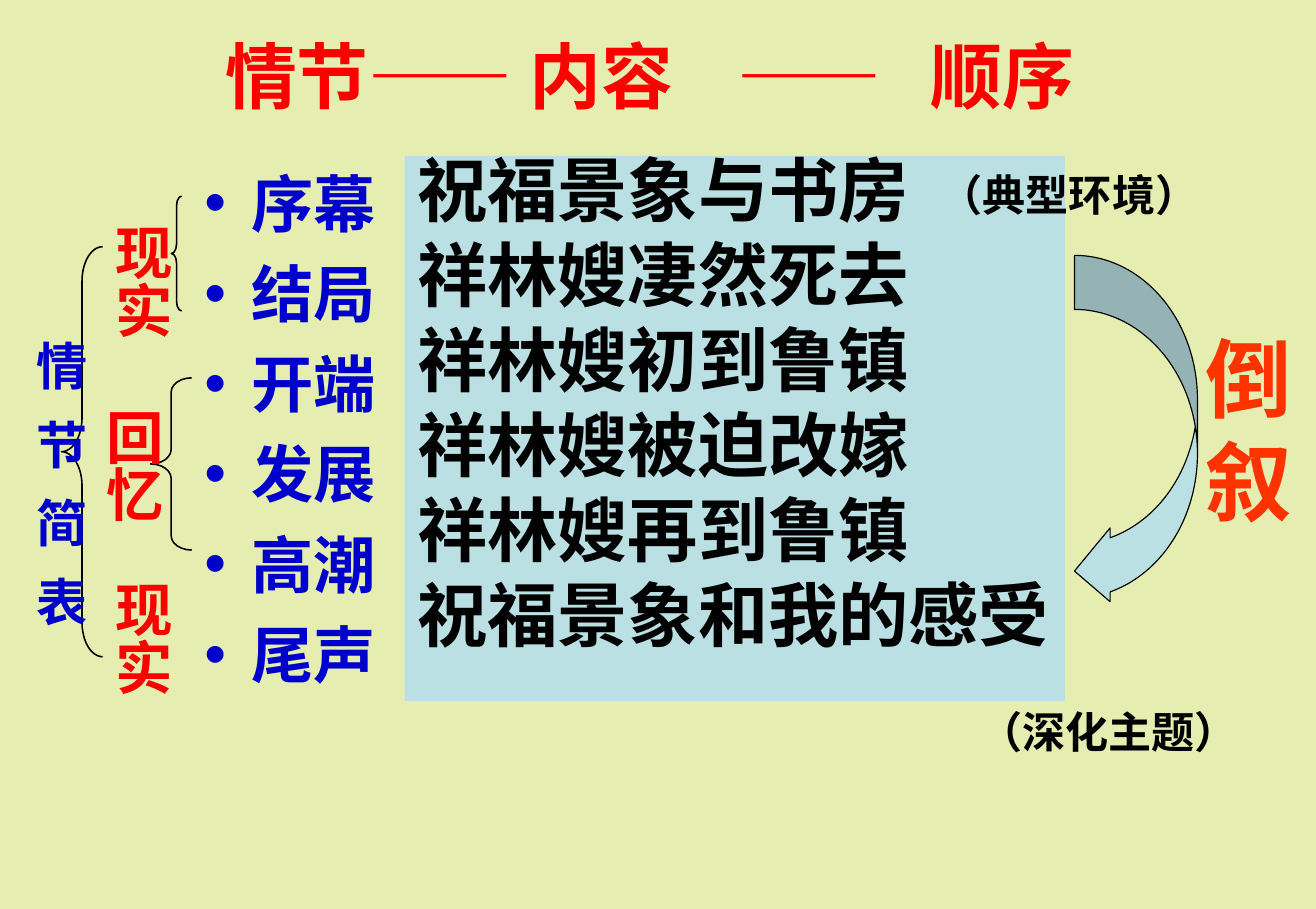
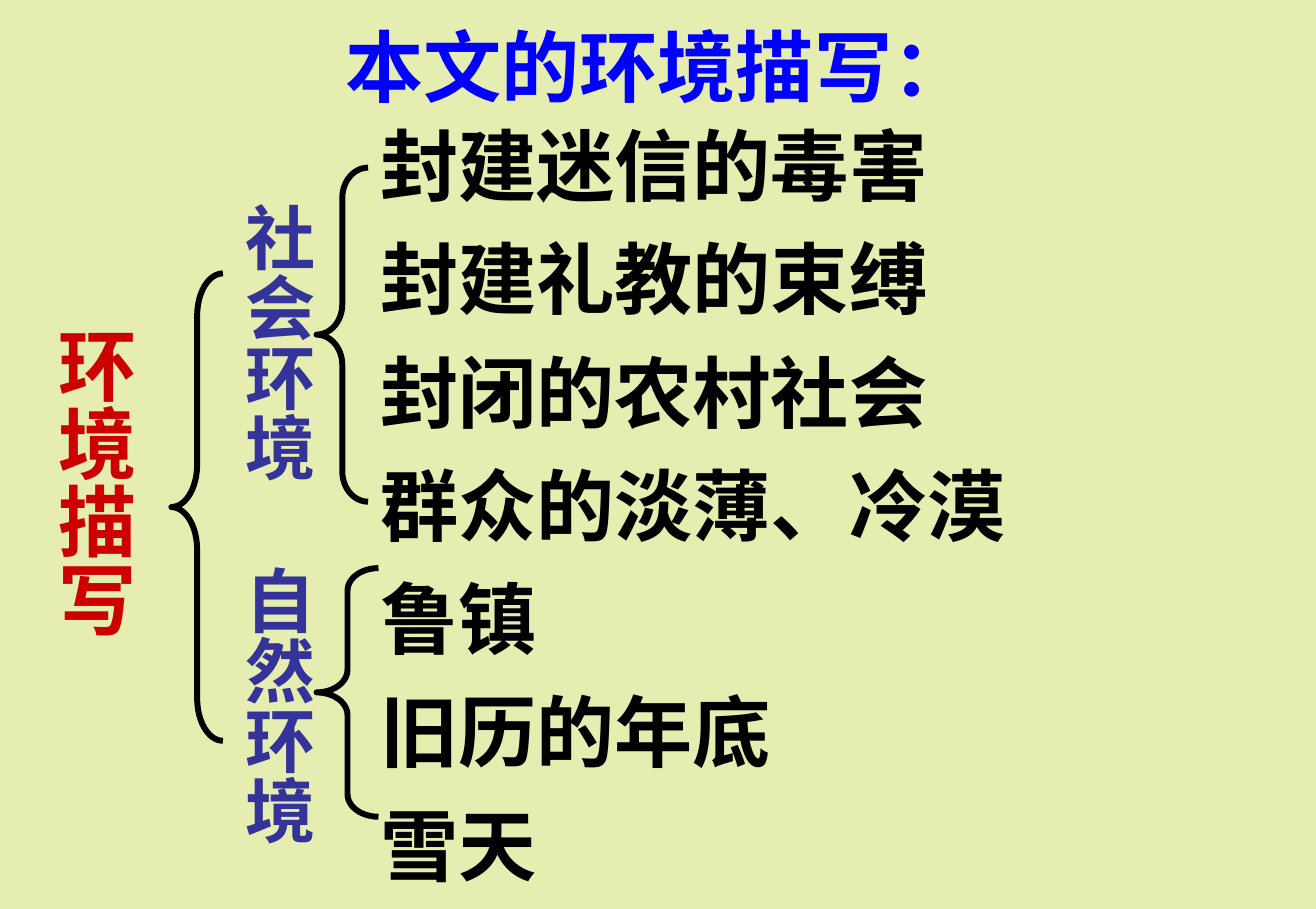
from lxml.etree import SubElement
from pptx import Presentation
from pptx.dml.color import RGBColor
from pptx.enum.shapes import MSO_SHAPE as Form
from pptx.enum.text import MSO_ANCHOR as Anchor, PP_ALIGN as Align
from pptx.oxml.ns import qn
from pptx.util import Cm, Pt

BACK = RGBColor(0xE5, 0xEE, 0xB0)
PALE = RGBColor(0xBB, 0xE0, 0xE3)
BLACK = RGBColor(0, 0, 0)
NAVY = RGBColor(0, 0, 0xCC)
BLUE = RGBColor(0, 0, 0xFF)
INDIGO = RGBColor(0x33, 0x33, 0x99)
RED = RGBColor(0xFF, 0, 0)
DARK = RGBColor(0xCC, 0, 0)
ORANGE = RGBColor(0xFF, 0x33, 0)
LATIN = "Arial"
HAN = "Noto Sans CJK SC"
ROMAN = "Times New Roman"


def add_run(para, text, size, color, face=LATIN, track=0):
    """Add one bold run, with optional tracking in points."""
    run = para.add_run()
    run.text = text
    font = run.font
    font.size, font.bold, font.name = Pt(size), True, face
    font.color.rgb = color
    props = run._r.get_or_add_rPr()
    SubElement(props, qn("a:ea"), typeface=HAN)
    if track:
        props.set("spc", str(round(track * 100)))


def set_tabs(para, stops):
    """Set left tab stops given in centimetres."""
    tabs = SubElement(para._p.get_or_add_pPr(), qn("a:tabLst"))
    for stop in stops:
        SubElement(tabs, qn("a:tab"), pos=str(Cm(stop)), algn="l")


def set_bullet(para, indent):
    """Give a paragraph a round bullet and a hanging indent."""
    props = para._p.get_or_add_pPr()
    props.set("marL", str(Cm(indent)))
    props.set("indent", str(-Cm(indent)))
    SubElement(props, qn("a:buFont"), typeface=LATIN)
    SubElement(props, qn("a:buChar"), char="•")


def set_frame(shape, side=0.28, top=0.15):
    """Set wrapping, anchor and insets of a text frame."""
    frame = shape.text_frame
    frame.word_wrap = True
    frame.vertical_anchor = Anchor.TOP
    frame.margin_left = frame.margin_right = Cm(side)
    frame.margin_top = frame.margin_bottom = Cm(top)
    return frame


def add_box(slide, at):
    """Add an empty text box and return its frame."""
    return set_frame(slide.shapes.add_textbox(*map(Cm, at)))


def add_line(slide, at, text, size, color, face=LATIN, align=Align.LEFT):
    """Add a text box with one paragraph."""
    para = add_box(slide, at).paragraphs[0]
    para.alignment = align
    add_run(para, text, size, color, face)
    return para


def add_list(frame, items, size, color, gap, face=LATIN, lead=None, bullet=0):
    """Fill a frame with one paragraph for each item."""
    for num, item in enumerate(items):
        para = frame.add_paragraph() if num else frame.paragraphs[0]
        para.alignment = Align.LEFT
        if lead:
            para.line_spacing = lead
        if num:
            para.space_before = Pt(gap)
        if bullet:
            set_bullet(para, bullet)
        add_run(para, item, size, color, face)


def add_label(slide, at, text, size, color, face=LATIN, track=0):
    """Add a vertical label that starts at the top of its box."""
    frame = set_frame(slide.shapes.add_textbox(*map(Cm, at)), 0.15, 0)
    frame._txBody.bodyPr.set("vert", "eaVert")
    add_run(frame.paragraphs[0], text, size, color, face, track)


def add_form(slide, form, at, fill=None, width=0):
    """Add a preset shape with an optional fill and outline."""
    shape = slide.shapes.add_shape(form, *map(Cm, at))
    shape.shadow.inherit = False
    if fill is None:
        shape.fill.background()
    else:
        shape.fill.solid()
        shape.fill.fore_color.rgb = fill
    if width:
        shape.line.color.rgb = BLACK
        shape.line.width = Pt(width)
    else:
        shape.line.fill.background()
    return shape


def add_brace(slide, at, width, part):
    """Add a left brace whose curl is one part of its height."""
    shape = add_form(slide, Form.LEFT_BRACE, at, width=width)
    shape.adjustments[0] = at[3] / part / min(at[2:])


def draw_plot(slide):
    """Draw the table of plot, content and order."""
    head = add_line(slide, (2.18, 0.56, 26.92, 2.31),
                    "\t情节——\t内容\t——\t顺序", 45, RED, HAN)
    set_tabs(head, (2.52, 9.25, 13.85, 18.12))

    steps = add_box(slide, (4.24, 3.5, 4.8, 12.5))
    add_list(steps, ("序幕", "结局", "开端", "发展", "高潮", "尾声"),
             39, NAVY, 9.8, bullet=1.04)

    panel = add_form(slide, Form.RECTANGLE, (8.95, 3.45, 14.6, 12.06), PALE)
    add_list(set_frame(panel),
             ("祝福景象与书房", "祥林嫂凄然死去", "祥林嫂初到鲁镇",
              "祥林嫂被迫改嫁", "祥林嫂再到鲁镇", "祝福景象和我的感受"),
             44, BLACK, 11, ROMAN, 0.8)

    arrow = add_form(slide, Form.CURVED_LEFT_ARROW,
                     (23.76, 5.65, 2.72, 7.8), PALE, 0.75)
    for num, value in enumerate((0.44, 0.6, 0.29)):
        arrow.adjustments[num] = value
    add_line(slide, (26.37, 7.05, 2.18, 4.85), "倒叙", 54, ORANGE, HAN)

    for left, top, note in ((20.5, 3.58, "（典型环境）"),
                            (21.37, 15.46, "（深化主题）")):
        add_line(slide, (left, top, 6.4, 1.5), note, 27, BLACK)

    for at in ((3.79, 4.34, 0.23, 2.54), (3.33, 8.36, 0.91, 3.81),
               (1.36, 5.46, 0.91, 9.07)):
        add_brace(slide, at, 1, 12)

    for left, top, word in ((1.98, 4.96, "现实"), (1.78, 9.04, "回忆"),
                            (1.98, 12.86, "现实")):
        add_label(slide, (left, top, 2.08, 2.82), word, 36, RED)
    add_label(slide, (0.23, 7.53, 1.93, 7.5), "情节简表", 32, NAVY, HAN, 17.4)


def draw_scene(slide):
    """Draw the tree of social and natural settings."""
    add_line(slide, (1.45, 0.25, 26.19, 2.4), "本文的环境描写：",
             49, BLUE, align=Align.CENTER)
    add_list(add_box(slide, (8.13, 2.45, 20.9, 17.65)),
             ("封建迷信的毒害", "封建礼教的束缚", "封闭的农村社会",
              "群众的淡薄、冷漠", "鲁镇", "旧历的年底", "雪天"),
             49, BLACK, 12.2)

    for top, word in ((4.48, "社会环境"), (12.51, "自然环境")):
        add_label(slide, (4.82, top, 2.41, 6.5), word, 44, INDIGO)
    for at in ((7, 3.71, 1.14, 7.39), (7, 12.57, 1.37, 5.5),
               (3.79, 6.05, 1.14, 10.34)):
        add_brace(slide, at, 3.75, 11)
    add_label(slide, (0.64, 7.23, 2.64, 7.19), "环境描写", 49, DARK)


def main():
    """Build and save the two slides."""
    deck = Presentation()
    deck.slide_width, deck.slide_height = Cm(29.1), Cm(20.11)
    fill = deck.slide_master.background.fill
    fill.solid()
    fill.fore_color.rgb = BACK
    for draw in (draw_plot, draw_scene):
        draw(deck.slides.add_slide(deck.slide_layouts[6]))
    deck.save("out.pptx")


if __name__ == "__main__":
    main()
